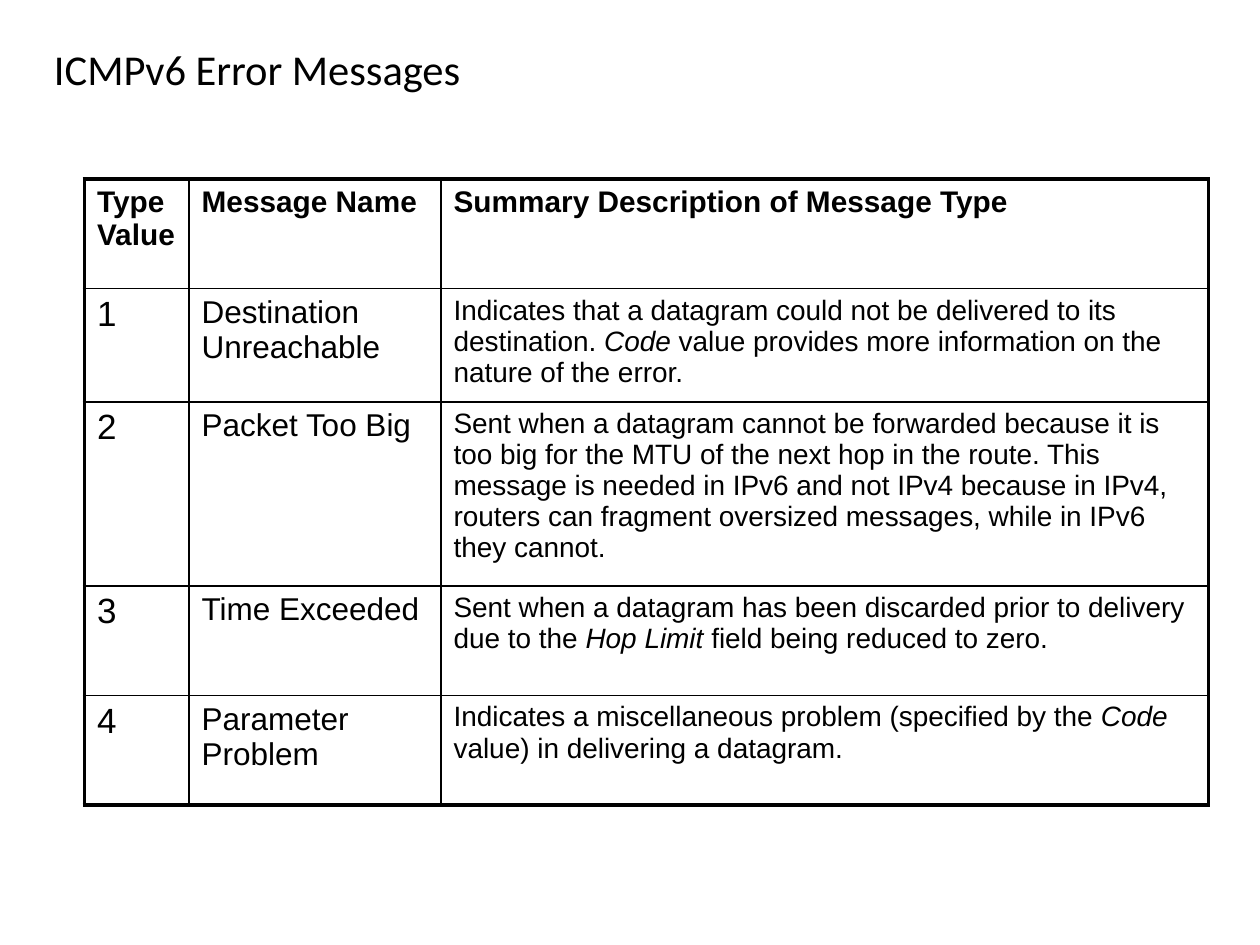
from lxml import etree
from pptx import Presentation
from pptx.dml.color import RGBColor
from pptx.enum.text import MSO_ANCHOR
from pptx.oxml.ns import qn
from pptx.util import Inches, Pt

MIDDLE = MSO_ANCHOR.MIDDLE
BLACK = RGBColor(0x00, 0x00, 0x00)

# Content: each cell is a list of runs, and every second run is italic
TITLE = "ICMPv6 Error Messages"
HEADER = [["Type Value"], ["Message Name"], ["Summary Description of Message Type"]]
MESSAGES = [
    [["1"], ["Destination Unreachable"],
     ["Indicates that a datagram could not be delivered to its destination. ", "Code",
      " value provides more information on the nature of the error."]],
    [["2"], ["Packet Too Big"],
     ["Sent when a datagram cannot be forwarded because it is too big for the MTU "
      "of the next hop in the route. This message is needed in IPv6 and not IPv4 "
      "because in IPv4, routers can fragment oversized messages, while in IPv6 "
      "they cannot."]],
    [["3"], ["Time Exceeded"],
     ["Sent when a datagram has been discarded prior to delivery due to the ",
      "Hop Limit", " field being reduced to zero."]],
    [["4"], ["Parameter Problem"],
     ["Indicates a miscellaneous problem (specified by the ", "Code",
      " value) in delivering a datagram."]],
]
ROWS = [HEADER] + MESSAGES
COLUMN_WIDTHS = [0.83, 2, 6.09]
ROW_HEIGHTS = [0.87, 0.87, 1.46, 0.87, 0.87]
HEADER_SIZE = 17
COLUMN_SIZES = [20, 18, 16]
OUTER_LINE, INNER_LINE = 2.25, 1


def add_span(para, text, font, size, bold=False, italic=False):
    span = para.add_run()
    span.text = text
    span.font.name = font
    span.font.size = Pt(size)
    span.font.bold = bold
    span.font.italic = italic
    span.font.color.rgb = BLACK


def set_borders(cell, widths):
    """Draw the left, right, top and bottom lines; they precede the cell fill."""
    properties = cell._tc.get_or_add_tcPr()
    for place, (side, width) in enumerate(zip("LRTB", widths)):
        line = etree.Element(qn(f"a:ln{side}"), w=str(Pt(width)))
        fill = etree.SubElement(line, qn("a:solidFill"))
        etree.SubElement(fill, qn("a:srgbClr"), val=str(BLACK))
        properties.insert(place, line)


deck = Presentation()
deck.slide_width, deck.slide_height = Inches(10), Inches(7.5)
page = deck.slides.add_slide(deck.slide_layouts[6])

# Title
box = page.shapes.add_textbox(Inches(0.33), Inches(0.36), Inches(8.25), Inches(0.42))
box.text_frame.word_wrap = True
box.text_frame.vertical_anchor = MIDDLE
para = box.text_frame.paragraphs[0]
para.line_spacing = 0.9
add_span(para, TITLE, "Calibri", 24.3)

# Table of message types
table = page.shapes.add_table(
    len(ROWS), len(COLUMN_WIDTHS), Inches(0.67), Inches(1.42),
    Inches(sum(COLUMN_WIDTHS)), Inches(sum(ROW_HEIGHTS))).table
table.first_row = table.horz_banding = False
for column, width in zip(table.columns, COLUMN_WIDTHS):
    column.width = Inches(width)
for row, height in zip(table.rows, ROW_HEIGHTS):
    row.height = Inches(height)

last_row, last_column = len(ROWS) - 1, len(COLUMN_WIDTHS) - 1
for r, row in enumerate(ROWS):
    for c, texts in enumerate(row):
        cell = table.cell(r, c)
        cell.fill.background()
        is_outer = (c == 0, c == last_column, r == 0, r == last_row)
        set_borders(cell, [OUTER_LINE if outer else INNER_LINE for outer in is_outer])
        para = cell.text_frame.paragraphs[0]
        size = HEADER_SIZE if r == 0 else COLUMN_SIZES[c]
        for i, text in enumerate(texts):
            add_span(para, text, "Arial", size, bold=r == 0, italic=i % 2 == 1)

deck.save("out.pptx")
